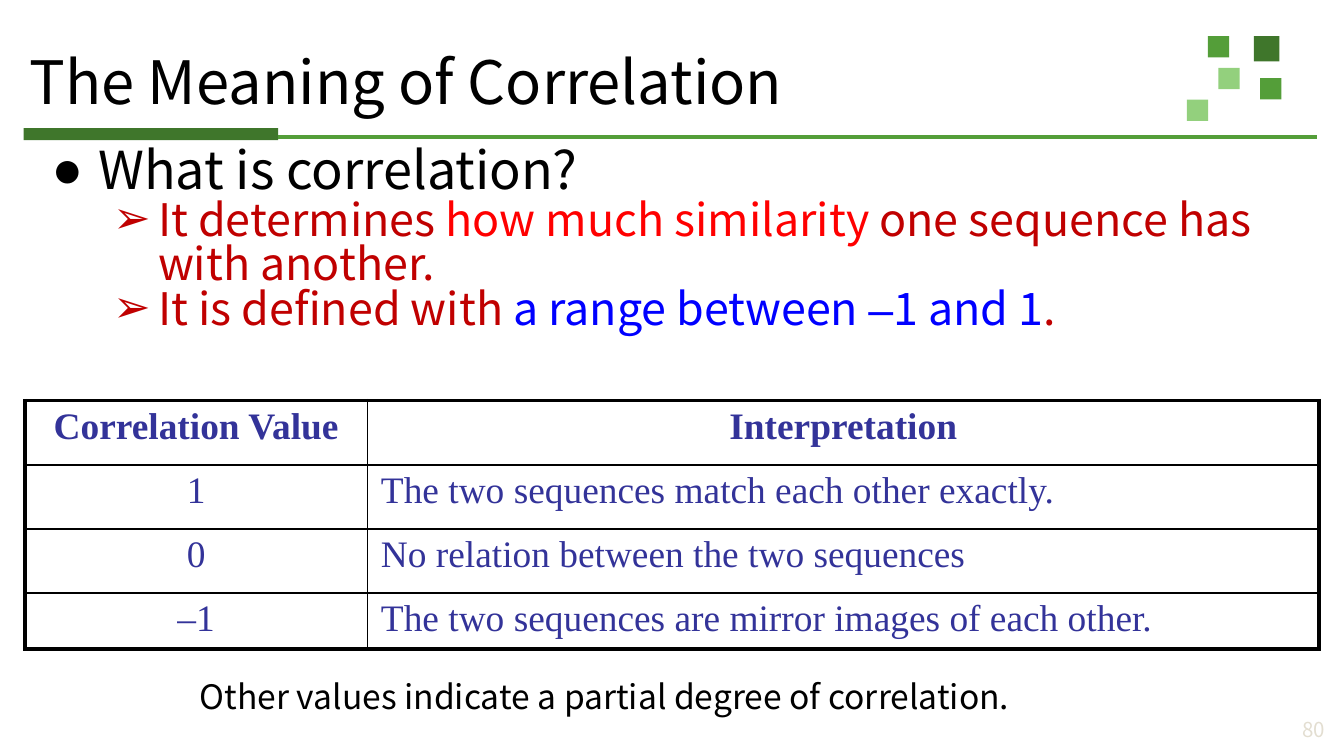
from lxml import etree
from pptx import Presentation
from pptx.dml.color import RGBColor
from pptx.enum.shapes import MSO_CONNECTOR, MSO_SHAPE
from pptx.enum.text import MSO_ANCHOR, MSO_AUTO_SIZE, PP_ALIGN
from pptx.oxml.ns import qn
from pptx.util import Pt

RECT, LINE = MSO_SHAPE.RECTANGLE, MSO_CONNECTOR.STRAIGHT
TOP, MID = MSO_ANCHOR.TOP, MSO_ANCHOR.MIDDLE
LEFT, CENTER, RIGHT = PP_ALIGN.LEFT, PP_ALIGN.CENTER, PP_ALIGN.RIGHT
FIXED = MSO_AUTO_SIZE.NONE
SANS, SERIF, ARIAL = "Noto Sans CJK SC", "Times New Roman", "Arial"
HEX = {
    "black": "000000", "dark": "3F762B", "green": "549E39", "light": "93D07D",
    "maroon": "C00000", "red": "FF0000", "blue": "0000FF", "navy": "333399",
    "pale": "E3DED1",
}


def color(name):
    return RGBColor.from_string(HEX[name])


def add_run(para, text, size, hue="black", face=SANS, bold=False):
    run = para.add_run()
    run.text = text
    font = run.font
    font.size, font.name, font.bold = Pt(size), face, bold
    font.color.rgb = color(hue)


def set_frame(frame, anchor, side, edge):
    frame.word_wrap, frame.auto_size = True, FIXED
    frame.vertical_anchor = anchor
    frame.margin_left = frame.margin_right = Pt(side)
    frame.margin_top = frame.margin_bottom = Pt(edge)


def place(shape, box):
    shape.left, shape.top, shape.width, shape.height = map(Pt, box)


def add_rect(slide, box, hue):
    rect = slide.shapes.add_shape(RECT, *map(Pt, box))
    rect.shadow.inherit = False
    rect.fill.solid()
    rect.fill.fore_color.rgb = color(hue)
    rect.line.fill.background()


def add_squares(slide, box):
    left, top, size = box
    for x, y, grow, hue in [
        (36, 0, 2.2, "dark"), (11.3, 0, 0, "green"), (39.3, 22.5, 0, "green"),
        (17, 17, 0, "light"), (0, 34, 0, "light"),
    ]:
        add_rect(slide, (left + x, top + y, size + grow, size + grow), hue)


def add_rule(slide, box):
    """Draw a thick bar that runs on as a thin line."""
    left, top, width, height = box
    bar = 136.3
    add_rect(slide, (left, top, bar, height), "dark")
    y = Pt(top + 5)
    line = slide.shapes.add_connector(LINE, Pt(left + bar), y, Pt(left + width), y)
    line.line.color.rgb = color("green")
    line.line.width = Pt(2)
    etree.SubElement(line._element.spPr, qn("a:effectLst"))


def fill_title(slide, box):
    title = slide.shapes.title
    place(title, box)
    set_frame(title.text_frame, MID, 5, 3)
    para = title.text_frame.paragraphs[0]
    para.alignment, para.line_spacing = LEFT, 0.9
    add_run(para, "The Meaning of Correlation", 32)


def set_bullet(para, mark, hue, indent, hang):
    props = para._p.get_or_add_pPr()
    props.set("marL", str(Pt(indent)))
    props.set("indent", str(-Pt(hang)))
    tint = etree.SubElement(props, qn("a:buClr"))
    etree.SubElement(tint, qn("a:srgbClr"), val=HEX[hue])
    etree.SubElement(props, qn("a:buFont"), typeface=ARIAL)
    etree.SubElement(props, qn("a:buChar"), char=mark)


def fill_body(slide, box):
    body = slide.placeholders[1]
    place(body, box)
    frame = body.text_frame
    set_frame(frame, TOP, 5, 3)
    items = [
        (0, [("What is correlation?", "black", SANS)]),
        (1, [("It determines ", "maroon", SANS),
             ("how much similarity", "red", SANS),
             (" one sequence has with another.", "maroon", SANS)]),
        (1, [("It is defined with ", "maroon", SANS),
             ("a range between ", "blue", SANS), ("–", "blue", ARIAL),
             ("1 and 1", "blue", SANS), (".", "maroon", SANS)]),
    ]
    styles = [("●", "black", 34, 25, 28, 0.9), ("➢", "maroon", 66, 24, 24, 0.83)]
    for i, (level, runs) in enumerate(items):
        mark, hue, indent, hang, size, pitch = styles[level]
        para = frame.add_paragraph() if i else frame.paragraphs[0]
        para.level, para.alignment = level, LEFT
        para.space_before, para.line_spacing = Pt(0), pitch
        set_bullet(para, mark, hue, indent, hang)
        for text, tint, face in runs:
            add_run(para, text, size, tint, face)


def set_edges(cell, widths):
    props = cell._tc.get_or_add_tcPr()
    for side, width in zip("LRTB", widths):
        edge = etree.SubElement(props, qn(f"a:ln{side}"), w=str(Pt(width)))
        fill = etree.SubElement(edge, qn("a:solidFill"))
        etree.SubElement(fill, qn("a:srgbClr"), val=HEX["black"])


def add_grid(slide, box):
    rows = [
        ("Correlation Value", "Interpretation"),
        ("1", "The two sequences match each other exactly."),
        ("0", "No relation between the two sequences"),
        ("–1", "The two sequences are mirror images of each other."),
    ]
    table = slide.shapes.add_table(len(rows), 2, *map(Pt, box)).table
    table.first_row = table.horz_banding = False
    for col, width in zip(table.columns, (183.6, box[2] - 183.6)):
        col.width = Pt(width)
    for row, height in zip(table.rows, (34.4, 34.4, 34.2, 30.2)):
        row.height = Pt(height)
    thick, thin = 2.25, 1
    for r, texts in enumerate(rows):
        for c, text in enumerate(texts):
            cell = table.cell(r, c)
            outer = (c == 0, c == 1, r == 0, r == len(rows) - 1)
            set_edges(cell, [thick if out else thin for out in outer])
            cell.fill.background()
            cell.margin_left = cell.margin_right = Pt(7.2)
            cell.margin_top = cell.margin_bottom = Pt(3)
            para = cell.text_frame.paragraphs[0]
            para.alignment = LEFT if r and c else CENTER
            add_run(para, text, 20, "navy", SERIF, r == 0)


def add_note(slide, box, text, size, hue, align, edge):
    frame = slide.shapes.add_textbox(*map(Pt, box)).text_frame
    set_frame(frame, TOP, 7.2, edge)
    para = frame.paragraphs[0]
    para.alignment = align
    add_run(para, text, size, hue)


def main():
    deck = Presentation()
    deck.slide_width, deck.slide_height = Pt(720), Pt(405)
    slide = deck.slides.add_slide(deck.slide_layouts[1])
    add_squares(slide, (635.8, 19.4, 11.4))
    add_rule(slide, (12.7, 68.6, 693, 6.5))
    add_grid(slide, (13.3, 214.6, 693.4, 133.2))
    fill_title(slide, (10.8, 20.2, 693.4, 51.1))
    fill_body(slide, (13.7, 74.2, 693.4, 141.1))
    add_note(slide, (100, 358.5, 521.3, 33), 
             "Other values indicate a partial degree of correlation.",
             18, "black", LEFT, 3.6)
    add_note(slide, (677, 384, 40, 17), "80", 11, "pale", RIGHT, 0)
    deck.save("out.pptx")


if __name__ == "__main__":
    main()
